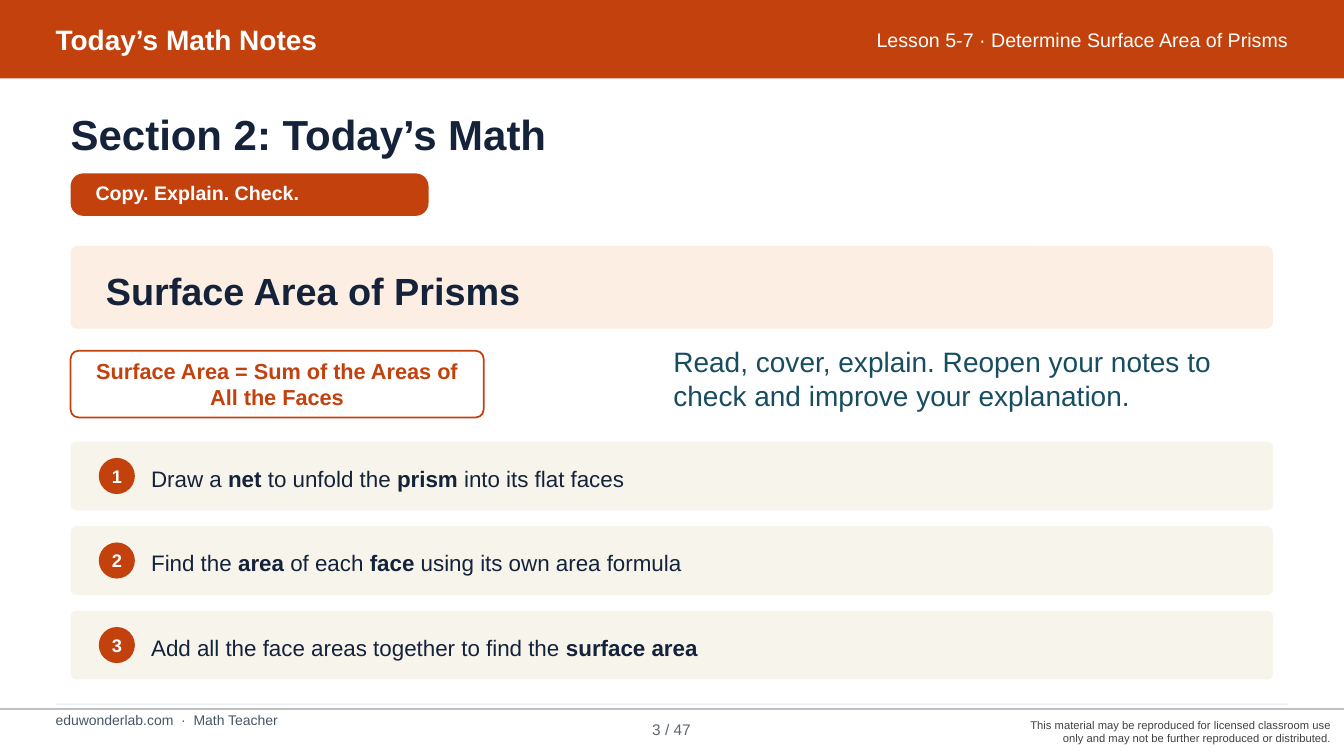
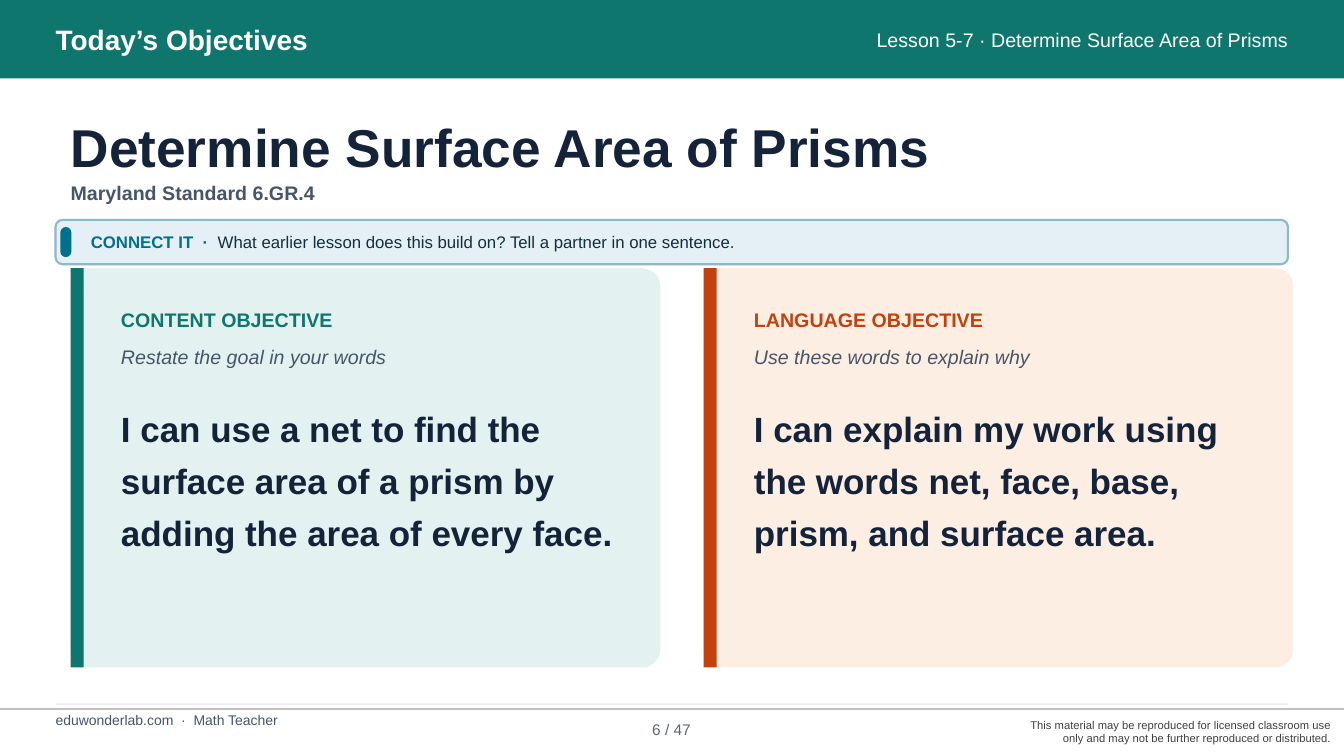
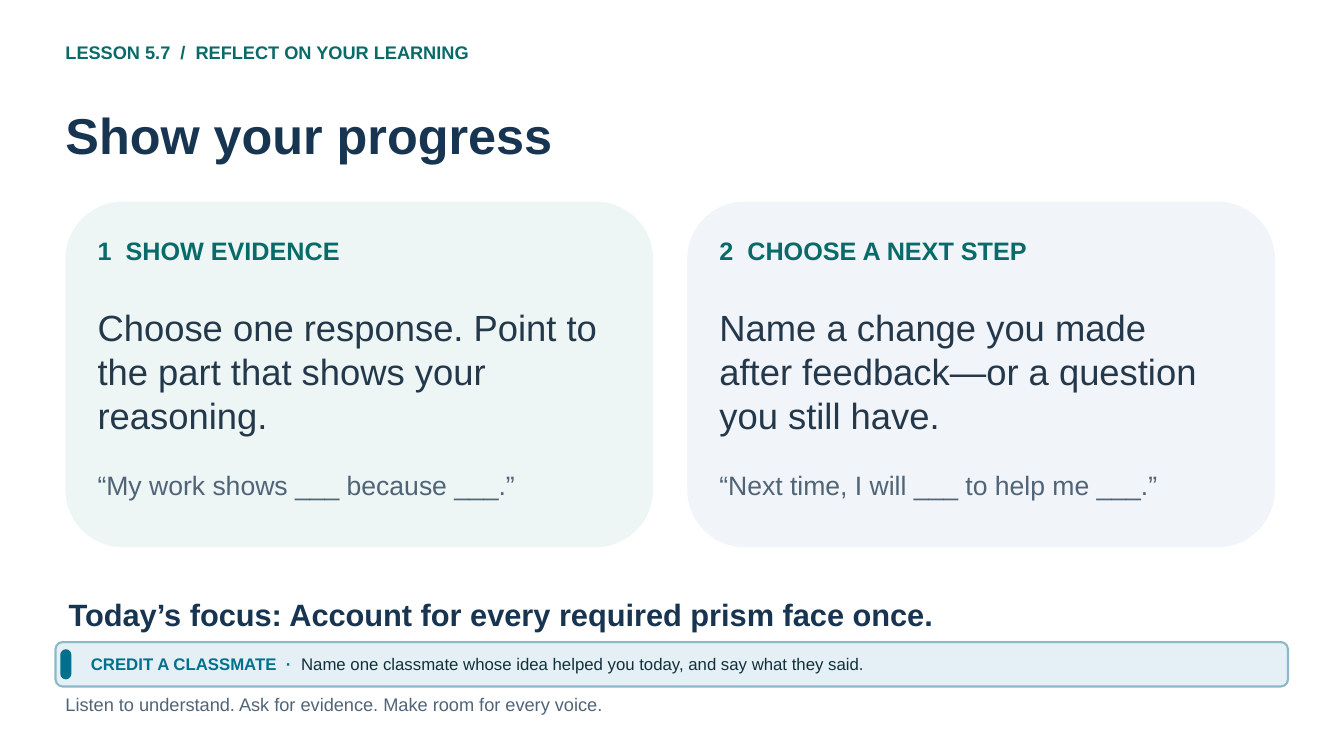
import pptx
import pptx.dml.color
import pptx.enum.shapes
import pptx.enum.text
import pptx.oxml
import pptx.util

Cm = pptx.util.Cm
Pt = pptx.util.Pt
RGBColor = pptx.dml.color.RGBColor
SHAPE = pptx.enum.shapes.MSO_SHAPE
ALIGN = pptx.enum.text.PP_ALIGN
ANCHOR = pptx.enum.text.MSO_ANCHOR

FONT = "Arial"
WHITE = RGBColor(0xFF, 0xFF, 0xFF)
ORANGE = RGBColor(0xC2, 0x41, 0x0C)
PEACH = RGBColor(0xFD, 0xEE, 0xE3)
CREAM = RGBColor(0xF7, 0xF4, 0xEC)
GREEN = RGBColor(0x0F, 0x76, 0x6E)
MINT = RGBColor(0xE3, 0xF2, 0xF0)
INK = RGBColor(0x14, 0x22, 0x3A)
SLATE = RGBColor(0x47, 0x55, 0x69)
PETROL = RGBColor(0x17, 0x4D, 0x60)
HAIRLINE = RGBColor(0xE2, 0xE8, 0xF0)
RULE_GRAY = RGBColor(0xBF, 0xBF, 0xBF)
RIGHTS_GRAY = RGBColor(0x40, 0x40, 0x40)
PAGE_GRAY = RGBColor(0x5D, 0x68, 0x72)
STRIP_FILL = RGBColor(0xE4, 0xF0, 0xF5)
STRIP_LINE = RGBColor(0x8C, 0xB8, 0xC7)
STRIP_ACCENT = RGBColor(0x01, 0x70, 0x8C)
STRIP_TEXT = RGBColor(0x13, 0x30, 0x3A)
NAVY = RGBColor(0x17, 0x34, 0x51)
TEAL = RGBColor(0x09, 0x6B, 0x69)
BODY = RGBColor(0x24, 0x38, 0x4B)
MUTED = RGBColor(0x50, 0x64, 0x78)
PALE_TEAL = RGBColor(0xED, 0xF6, 0xF5)
PALE_BLUE = RGBColor(0xF1, 0xF4, 0xF8)


def add_shape(slide, geometry, box, fill, radius=None, line=None, line_width=1.25):
    shape = slide.shapes.add_shape(geometry, *map(Cm, box))
    shape.shadow.inherit = False
    shape.fill.solid()
    shape.fill.fore_color.rgb = fill
    if radius is not None:
        shape.adjustments[0] = radius
    if line is None:
        shape.line.fill.background()
    else:
        shape.line.color.rgb = line
        shape.line.width = Pt(line_width)
    return shape


def write(slide, place, text, size, color, bold=False, italic=False,
          align=ALIGN.LEFT, anchor=ANCHOR.TOP, spacing=None):
    """Write into a shape, or a new text box if place is a box; * switches bold."""
    if isinstance(place, tuple):
        place = slide.shapes.add_textbox(*map(Cm, place))
    frame = place.text_frame
    frame.word_wrap = True
    frame.auto_size = pptx.enum.text.MSO_AUTO_SIZE.NONE
    frame.vertical_anchor = anchor
    frame.margin_left = frame.margin_right = frame.margin_top = frame.margin_bottom = 0
    for line_index, line in enumerate(text.split("\n")):
        paragraph = frame.add_paragraph() if line_index else frame.paragraphs[0]
        paragraph.alignment = align
        if spacing:
            paragraph.line_spacing = spacing
        for piece_index, piece in enumerate(line.split("*")):
            if piece:
                run = paragraph.add_run()
                run.text = piece
                run.font.name = FONT
                run.font.size = Pt(size)
                run.font.color.rgb = color
                run.font.bold = bold or piece_index % 2 == 1
                run.font.italic = italic
    return frame


presentation = pptx.Presentation()
presentation.slide_width = Cm(33.87)
presentation.slide_height = Cm(19.05)

# Slides with their titles
slides = []
for title, box, size, color, spacing in (
    ("Section 2: Today’s Math", (1.78, 2.74, 30.3, 1.27), 30, INK, None),
    ("Determine Surface Area of Prisms", (1.78, 2.69, 30.3, 1.75), 38, INK, 1.12),
    ("Show your progress", (1.65, 2.62, 30.48, 1.7), 36, NAVY, None),
):
    slide = presentation.slides.add_slide(presentation.slide_layouts[5])
    heading = slide.shapes.title
    heading.left, heading.top, heading.width, heading.height = map(Cm, box)
    write(slide, heading, title, size, color, bold=True, spacing=spacing)
    slides.append(slide)
notes_slide, objectives_slide, progress_slide = slides

# Header band and footer of the lesson slides
for slide, band_color, band_title, page in (
    (notes_slide, ORANGE, "Today’s Math Notes", "3 / 47"),
    (objectives_slide, GREEN, "Today’s Objectives", "6 / 47"),
):
    rule = slide.shapes.add_connector(
        pptx.enum.shapes.MSO_CONNECTOR.STRAIGHT, 0, Cm(17.86), Cm(33.87), Cm(17.86))
    rule.line.color.rgb = RULE_GRAY
    rule.line.width = Pt(1.75)
    rule._element.spPr.append(pptx.oxml.parse_xml(
        '<a:effectLst xmlns:a="http://schemas.openxmlformats.org/drawingml/2006/main"/>'))
    write(slide, (25.42, 17.78, 8.13, 1.32),
          "This material may be reproduced for licensed classroom use only "
          "and may not be further reproduced or distributed.",
          8, RIGHTS_GRAY, align=ALIGN.RIGHT, anchor=ANCHOR.MIDDLE)
    add_shape(slide, SHAPE.RECTANGLE, (0, 0, 33.87, 1.98), band_color)
    write(slide, (1.4, 0.41, 18.8, 1.17), band_title, 20, WHITE,
          bold=True, anchor=ANCHOR.MIDDLE)
    write(slide, (20.07, 0.36, 12.4, 1.27), "Lesson 5-7 · Determine Surface Area of Prisms",
          14, WHITE, align=ALIGN.RIGHT, anchor=ANCHOR.MIDDLE)
    add_shape(slide, SHAPE.RECTANGLE, (1.4, 17.73, 31.06, 0.03), HAIRLINE)
    write(slide, (1.4, 17.93, 31.06, 0.71), "eduwonderlab.com  ·  Math Teacher", 10, SLATE)
    write(slide, (15.49, 18.03, 2.87, 0.71), page, 11, PAGE_GRAY,
          align=ALIGN.CENTER, anchor=ANCHOR.MIDDLE)

# Math notes
slide = notes_slide
add_shape(slide, SHAPE.ROUNDED_RECTANGLE, (1.78, 4.37, 9.02, 1.07), ORANGE, 0.3)
write(slide, (2.41, 4.55, 8.38, 0.76), "Copy. Explain. Check.", 14, WHITE, bold=True)
add_shape(slide, SHAPE.ROUNDED_RECTANGLE, (1.78, 6.2, 30.3, 2.08), PEACH, 0.07)
write(slide, (2.67, 6.55, 28.52, 1.37), "Surface Area of Prisms", 27, INK,
      bold=True, anchor=ANCHOR.MIDDLE, spacing=1.16)
add_shape(slide, SHAPE.ROUNDED_RECTANGLE, (1.78, 8.84, 10.41, 1.68), WHITE, 0.12, ORANGE)
write(slide, (2.13, 9.07, 9.7, 1.22), "Surface Area = Sum of the Areas of All the Faces",
      15.5, ORANGE, bold=True, align=ALIGN.CENTER, anchor=ANCHOR.MIDDLE)
write(slide, (16.97, 8.69, 15.24, 2.13),
      "Read, cover, explain. Reopen your notes to\ncheck and improve your explanation.",
      20, PETROL, spacing=Pt(24))
for index, step in enumerate((
    "Draw a *net* to unfold the *prism* into its flat faces",
    "Find the *area* of each *face* using its own area formula",
    "Add all the face areas together to find the *surface area*",
)):
    top = 11.13 + index * 2.13
    add_shape(slide, SHAPE.ROUNDED_RECTANGLE, (1.78, top, 30.3, 1.73), CREAM, 0.08)
    number = add_shape(slide, SHAPE.OVAL, (2.49, top + 0.41, 0.91, 0.91), ORANGE)
    write(slide, number, str(index + 1), 13, WHITE, bold=True,
          align=ALIGN.CENTER, anchor=ANCHOR.MIDDLE)
    write(slide, (3.81, top + 0.23, 27.89, 1.27), step, 16, INK,
          anchor=ANCHOR.MIDDLE, spacing=1.16)

# Objectives
slide = objectives_slide
write(slide, (1.78, 4.55, 30.3, 0.76), "Maryland Standard 6.GR.4", 14, SLATE, bold=True)
for left, accent, fill, label, hint, objective in (
    (1.78, GREEN, MINT, "CONTENT OBJECTIVE", "Restate the goal in your words",
     "I can use a net to find the surface area of a prism by adding the area of every face."),
    (17.73, ORANGE, PEACH, "LANGUAGE OBJECTIVE", "Use these words to explain why",
     "I can explain my work using the words net, face, base, prism, and surface area."),
):
    add_shape(slide, SHAPE.ROUNDED_RECTANGLE, (left, 6.76, 14.86, 10.06), fill, 0.045)
    add_shape(slide, SHAPE.RECTANGLE, (left, 6.76, 0.33, 10.06), accent)
    text_left = left + 1.27
    write(slide, (text_left, 7.77, 12.45, 0.76), label, 14, accent, bold=True)
    write(slide, (text_left, 8.69, 12.45, 0.71), hint, 14, SLATE, italic=True)
    write(slide, (text_left, 10.01, 12.45, 5.69), objective, 25, INK, bold=True, spacing=1.24)

# Progress
slide = progress_slide
write(slide, (1.65, 1.05, 30.48, 0.76), "LESSON 5.7  /  REFLECT ON YOUR LEARNING",
      13, TEAL, bold=True)
for left, fill, label, task, starter in (
    (1.65, PALE_TEAL, "1  SHOW EVIDENCE",
     "Choose one response. Point to the part that shows your reasoning.",
     "“My work shows ___ because ___.”"),
    (17.32, PALE_BLUE, "2  CHOOSE A NEXT STEP",
     "Name a change you made after feedback—or a question you still have.",
     "“Next time, I will ___ to help me ___.”"),
):
    add_shape(slide, SHAPE.ROUNDED_RECTANGLE, (left, 5.08, 14.81, 8.71), fill)
    text_left = left + 0.81
    write(slide, (text_left, 5.92, 13.08, 0.94), label, 18, TEAL, bold=True)
    write(slide, (text_left, 7.7, 12.83, 3.68), task, 26, BODY)
    write(slide, (text_left, 11.81, 12.83, 1.32), starter, 19, MUTED)
write(slide, (1.73, 15.02, 30.43, 1.1), "Today’s focus: Account for every required prism face once.",
      22, NAVY, bold=True)
write(slide, (1.65, 17.48, 29.97, 0.69),
      "Listen to understand. Ask for evidence. Make room for every voice.", 13, MUTED)

# Partner prompt strips
for slide, top, prompt in (
    (objectives_slide, 5.54,
     "*CONNECT IT  ·  *What earlier lesson does this build on? Tell a partner in one sentence."),
    (progress_slide, 16.18,
     "*CREDIT A CLASSMATE  ·  *Name one classmate whose idea helped you today, "
     "and say what they said."),
):
    add_shape(slide, SHAPE.ROUNDED_RECTANGLE, (1.4, top, 31.06, 1.12),
              STRIP_FILL, 0.16, STRIP_LINE, 1.5)
    add_shape(slide, SHAPE.ROUNDED_RECTANGLE, (1.52, top + 0.18, 0.28, 0.76), STRIP_ACCENT, 0.5)
    frame = write(slide, (2.29, top, 29.79, 1.12), prompt, 12, STRIP_TEXT, anchor=ANCHOR.MIDDLE)
    frame.paragraphs[0].runs[0].font.color.rgb = STRIP_ACCENT

presentation.save("out.pptx")
